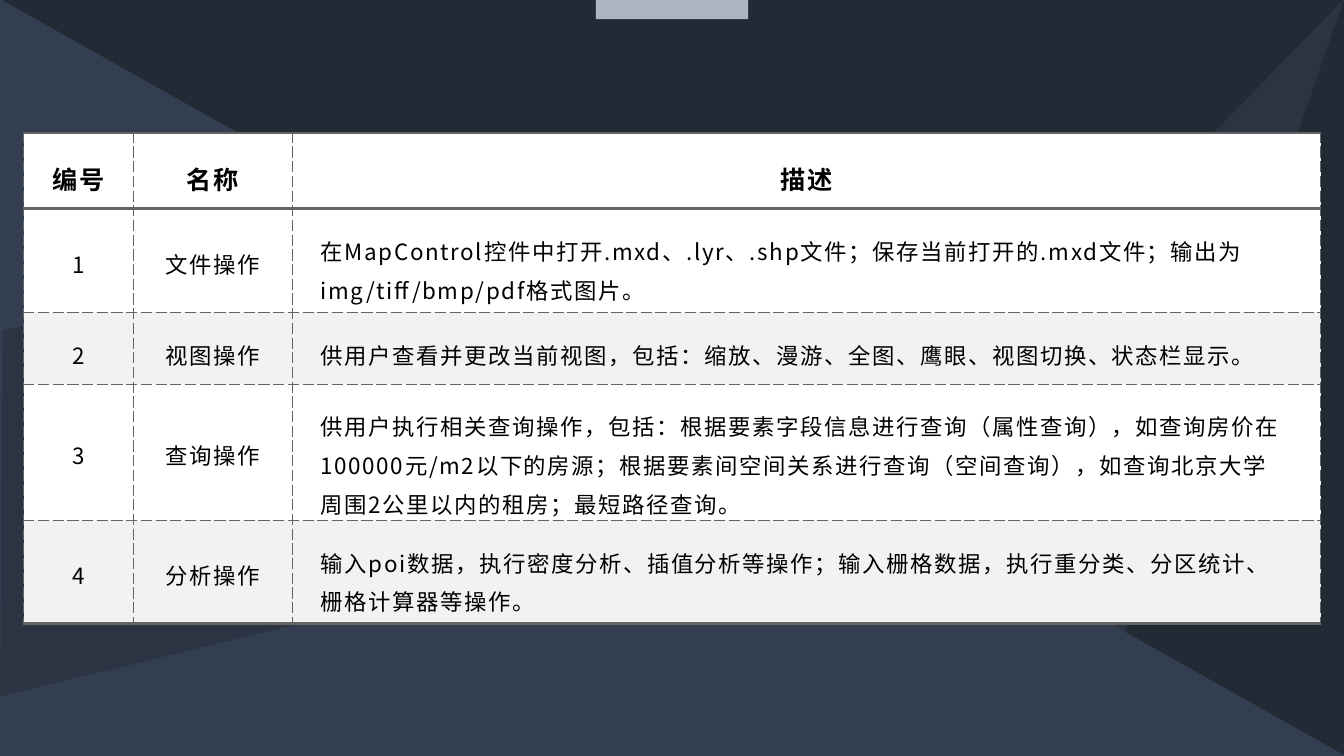
from lxml.etree import SubElement
from pptx import Presentation
from pptx.dml.color import RGBColor
from pptx.enum.shapes import MSO_SHAPE
from pptx.enum.text import MSO_ANCHOR, PP_ALIGN
from pptx.oxml.ns import qn
from pptx.util import Inches, Pt

SLIDE_WIDTH, SLIDE_HEIGHT = Inches(13.33), Inches(7.5)
SLATE = RGBColor(0x33, 0x3F, 0x50)
NAVY = RGBColor(0x22, 0x2A, 0x35)
MIST = RGBColor(0xAC, 0xB6, 0xC2)
RULE_GREY = RGBColor(0x64, 0x64, 0x64)
BAND_GREY = RGBColor(0xF2, 0xF2, 0xF2)
WHITE = RGBColor(0xFF, 0xFF, 0xFF)
BLACK = RGBColor(0, 0, 0)
FONT = "Noto Sans CJK SC"

COLUMN_SHARES = (8.48, 12.25, 79.27)
ROW_SHARES = (15.4, 21.15, 14.58, 27.72, 21.15)
DESCRIPTION_LINES = (1, 2, 1, 3, 2)
OPERATIONS = (
    ("编号", "名称", "描述"),
    ("1", "文件操作", "在MapControl控件中打开.mxd、.lyr、.shp文件；"
     "保存当前打开的.mxd文件；输出为img/tiff/bmp/pdf格式图片。"),
    ("2", "视图操作", "供用户查看并更改当前视图，包括：缩放、漫游、全图、鹰眼、"
     "视图切换、状态栏显示。"),
    ("3", "查询操作", "供用户执行相关查询操作，包括：根据要素字段信息进行查询（属性查询），"
     "如查询房价在100000元/m2以下的房源；根据要素间空间关系进行查询（空间查询），"
     "如查询北京大学周围2公里以内的租房；最短路径查询。"),
    ("4", "分析操作", "输入poi数据，执行密度分析、插值分析等操作；"
     "输入栅格数据，执行重分类、分区统计、栅格计算器等操作。"),
)


def percent_box(left, top, width, height):
    """Turn percentages of the slide into a box."""
    return (int(SLIDE_WIDTH * left / 100), int(SLIDE_HEIGHT * top / 100),
            int(SLIDE_WIDTH * width / 100), int(SLIDE_HEIGHT * height / 100))


def add_facet(slide, box, outline, color, rotation=0, skew=None, opacity=100):
    """Add one flat background facet."""
    facet = slide.shapes.add_shape(outline, *box)
    facet.shadow.inherit = False
    facet.rotation = rotation
    if skew is not None:
        facet.adjustments[0] = skew
    facet.fill.solid()
    facet.fill.fore_color.rgb = color
    facet.line.fill.background()
    if opacity < 100:
        tint = facet.fill._xPr.find(".//" + qn("a:srgbClr"))
        SubElement(tint, qn("a:alpha"), val=str(opacity * 1000))


def add_backdrop(slide):
    """Paint the background, its facets and the top tab."""
    slide.background.fill.solid()
    slide.background.fill.fore_color.rgb = SLATE
    triangle = MSO_SHAPE.ISOSCELES_TRIANGLE
    add_facet(slide, percent_box(0.15, 0, 100, 100), triangle, NAVY, 180, skew=0)
    add_facet(slide, percent_box(-4.65, 23.07, 108.33, 46.93),
              MSO_SHAPE.PARALLELOGRAM, NAVY, 166.3, opacity=50)
    add_facet(slide, percent_box(63.54, -11.07, 27.61, 104.53),
              triangle, SLATE, 19.1, skew=1, opacity=50)
    add_facet(slide, percent_box(44.34, 0, 11.33, 2.53), MSO_SHAPE.RECTANGLE, MIST)


def add_border(cell, side, solid):
    """Rule one side of a cell, thick and solid or thin and dashed."""
    width = Pt(2.25) if solid else Pt(0.75)
    border = SubElement(cell._tc.get_or_add_tcPr(), qn("a:ln" + side), w=str(width))
    paint = SubElement(border, qn("a:solidFill"))
    SubElement(paint, qn("a:srgbClr"), val=str(RULE_GREY))
    SubElement(border, qn("a:prstDash"), val="solid" if solid else "sysDash")


def bottom_margin(row, column):
    """Shrink the bottom margin where the text fills the row."""
    lines = DESCRIPTION_LINES[row]
    if row == 0:
        return Inches(0.11)
    if lines > 1 and column < 2:
        return Inches(0.19)
    return Inches(0.18 - 0.06 * lines)


def fill_cell(cell, wording, row, column):
    """Write and format one table cell."""
    heading = row == 0
    for side in "LR":
        add_border(cell, side, False)
    add_border(cell, "T", row <= 1)
    add_border(cell, "B", row in (0, len(OPERATIONS) - 1))
    cell.fill.solid()
    cell.fill.fore_color.rgb = BAND_GREY if row and row % 2 == 0 else WHITE
    cell.vertical_anchor = MSO_ANCHOR.MIDDLE
    cell.margin_left = cell.margin_right = Inches(0.28)
    cell.margin_top = Inches(0.19)
    cell.margin_bottom = bottom_margin(row, column)
    cell.text_frame.text = wording
    paragraph = cell.text_frame.paragraphs[0]
    paragraph.line_spacing = 1.2
    paragraph.alignment = PP_ALIGN.CENTER if heading or column < 2 else PP_ALIGN.LEFT
    font = paragraph.runs[0].font
    font.size = Pt(18 if heading else 16)
    font.bold = heading
    font.color.rgb = BLACK
    font.name = FONT
    SubElement(font._element, qn("a:ea"), typeface=FONT)
    font._element.set("spc", "130" if heading else "120")


def add_operations_table(slide, box):
    """Fill the box with the table of operations."""
    left, top, width, height = box
    table = slide.shapes.add_table(
        len(ROW_SHARES), len(COLUMN_SHARES), left, top, width, height).table
    table.first_row = table.horz_banding = False
    for column, share in zip(table.columns, COLUMN_SHARES):
        column.width = int(width * share / 100)
    for row, share in zip(table.rows, ROW_SHARES):
        row.height = int(height * share / 100)
    for row, operation in enumerate(OPERATIONS):
        for column, wording in enumerate(operation):
            fill_cell(table.cell(row, column), wording, row, column)


def main():
    """Build and save the slide."""
    presentation = Presentation()
    presentation.slide_width, presentation.slide_height = SLIDE_WIDTH, SLIDE_HEIGHT
    slide = presentation.slides.add_slide(presentation.slide_layouts[6])
    add_backdrop(slide)
    add_operations_table(slide, percent_box(1.76, 17.6, 96.5, 64.93))
    presentation.save("out.pptx")


if __name__ == "__main__":
    main()
